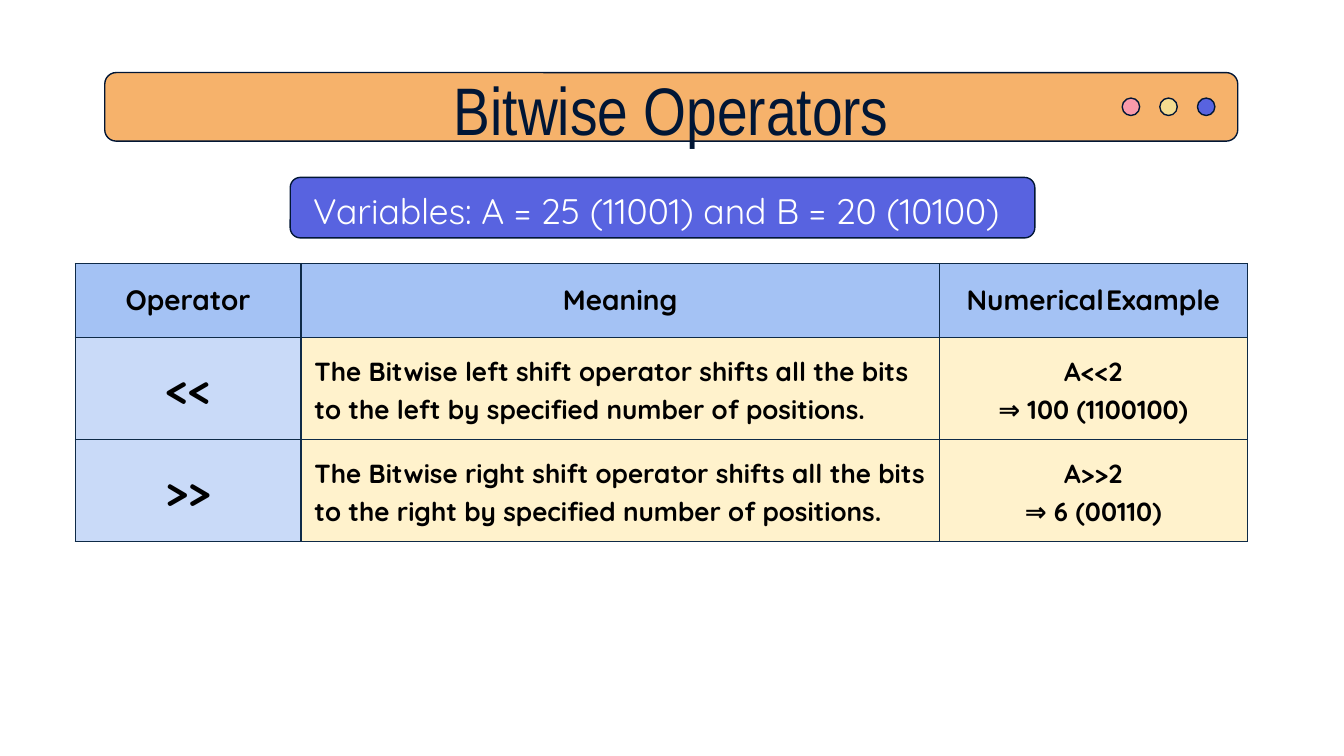
from lxml import etree
from pptx import Presentation
from pptx.dml.color import RGBColor
from pptx.enum.shapes import MSO_SHAPE
from pptx.enum.text import MSO_ANCHOR, MSO_AUTO_SIZE, PP_ALIGN
from pptx.oxml.ns import qn
from pptx.util import Inches, Pt

ROUNDED, OVAL = MSO_SHAPE.ROUNDED_RECTANGLE, MSO_SHAPE.OVAL
MIDDLE = MSO_ANCHOR.MIDDLE
NO_AUTOFIT = MSO_AUTO_SIZE.NONE
LEFT, CENTER, JUSTIFY = PP_ALIGN.LEFT, PP_ALIGN.CENTER, PP_ALIGN.JUSTIFY

COLORS = {
    "ink": "011635", "border": "0E2A47", "black": "000000", "white": "FFFFFF",
    "orange": "F6B26B", "indigo": "5863E0", "yellow": "F4DC90", "pink": "F99AAA",
    "header": "A4C2F4", "operator": "C9DAF8", "body": "FFF2CC",
}
HEADINGS = ["Operator", "Meaning", "Numerical Example"]
OPERATORS = [
    ("<<", "left", "A<<2", "⇒ 100 (1100100)"),
    (">>", "right", "A>>2", "⇒ 6 (00110)"),
]


def rgb(name):
    return RGBColor.from_string(COLORS[name])


def add_run(paragraph, text, size, color="black", font="Quicksand", bold=False):
    run = paragraph.add_run()
    run.text = text
    run.font.size = Pt(size)
    run.font.name = font
    run.font.bold = bold
    run.font.color.rgb = rgb(color)


def set_frame(frame, left_inset=0):
    frame.word_wrap = True
    frame.auto_size = NO_AUTOFIT
    frame.vertical_anchor = MIDDLE
    frame.margin_left = Inches(left_inset)
    frame.margin_right = frame.margin_top = frame.margin_bottom = 0


def add_outlined(slide, kind, left, top, width, height, color):
    outlined = slide.shapes.add_shape(
        kind, Inches(left), Inches(top), Inches(width), Inches(height))
    outlined.shadow.inherit = False
    outlined.fill.solid()
    outlined.fill.fore_color.rgb = rgb(color)
    outlined.line.color.rgb = rgb("ink")
    outlined.line.width = Pt(0.75)


def add_title_bar(slide, left, top, width, height):
    add_outlined(slide, ROUNDED, left, top, width, height, "orange")
    dot, pitch = 0.13, 0.28
    for index, color in enumerate(["pink", "yellow", "indigo"]):
        add_outlined(slide, OVAL, left + width - 0.86 + index * pitch,
                     top + (height - dot) / 2, dot, dot, color)

    title = slide.shapes.title
    title.left, title.top = Inches(left + 0.71), Inches(top - 0.05)
    title.width, title.height = Inches(7.01), Inches(0.63)
    set_frame(title.text_frame)
    heading = title.text_frame.paragraphs[0]
    heading.alignment = CENTER
    add_run(heading, "Bitwise Operators", 36, "ink", "Arial Narrow")
    slide.shapes._spTree.append(title._element)


def add_variables(slide, left, top, width, height):
    add_outlined(slide, ROUNDED, left, top, width, height, "indigo")
    label = slide.shapes.add_textbox(
        Inches(left), Inches(top - 0.07), Inches(width), Inches(0.63))
    set_frame(label.text_frame, 0.17)
    variables = label.text_frame.paragraphs[0]
    variables.alignment = JUSTIFY
    add_run(variables, "Variables: A = 25 (11001) and B = 20 (10100)", 19, "white")


def add_borders(cell):
    properties = cell._tc.get_or_add_tcPr()
    for position, side in enumerate(["a:lnL", "a:lnR", "a:lnT", "a:lnB"]):
        border = etree.Element(qn(side), w=str(Pt(0.75)))
        fill = etree.SubElement(border, qn("a:solidFill"))
        etree.SubElement(fill, qn("a:srgbClr"), val=COLORS["border"])
        properties.insert(position, border)


def format_cell(cell, color, alignment=CENTER, spacing=None):
    cell.fill.solid()
    cell.fill.fore_color.rgb = rgb(color)
    cell.vertical_anchor = MIDDLE
    cell.margin_left = cell.margin_right = Inches(0.1)
    cell.margin_top = cell.margin_bottom = Inches(0.1)
    add_borders(cell)
    paragraph = cell.text_frame.paragraphs[0]
    paragraph.alignment = alignment
    paragraph.line_spacing = spacing
    return paragraph


def add_operator_table(slide, left, top, column_widths, row_heights):
    table = slide.shapes.add_table(
        len(row_heights), len(column_widths), Inches(left), Inches(top),
        Inches(sum(column_widths)), Inches(sum(row_heights))).table
    for column, width in zip(table.columns, column_widths):
        column.width = Inches(width)
    for row, height in zip(table.rows, row_heights):
        row.height = Inches(height)

    for column, heading in enumerate(HEADINGS):
        paragraph = format_cell(table.cell(0, column), "header")
        first, gap, second = heading.partition(" ")
        add_run(paragraph, first, 15, bold=True)
        if second:
            add_run(paragraph, gap, 4, font="Arial")
            add_run(paragraph, second, 15, bold=True)

    for row, (operator, side, expression, result) in enumerate(OPERATORS, 1):
        symbol = format_cell(table.cell(row, 0), "operator")
        add_run(symbol, operator, 23, bold=True)
        meaning = format_cell(table.cell(row, 1), "body", LEFT, 1.15)
        add_run(meaning, f"The Bitwise {side} shift operator shifts all the bits "
                f"to the {side} by specified number of positions.", 14, bold=True)
        example = format_cell(table.cell(row, 2), "body", CENTER, 1.15)
        add_run(example, expression, 14, bold=True)
        example.add_line_break()
        add_run(example, result, 14, bold=True)


def main():
    deck = Presentation()
    deck.slide_width, deck.slide_height = Inches(10), Inches(5.625)
    slide = deck.slides.add_slide(deck.slide_layouts[5])
    add_operator_table(slide, 0.56, 1.96, [1.68, 4.75, 2.29], [0.55, 0.76, 0.76])
    add_title_bar(slide, 0.78, 0.54, 8.43, 0.51)
    add_variables(slide, 2.16, 1.32, 5.54, 0.45)
    deck.save("out.pptx")


if __name__ == "__main__":
    main()
